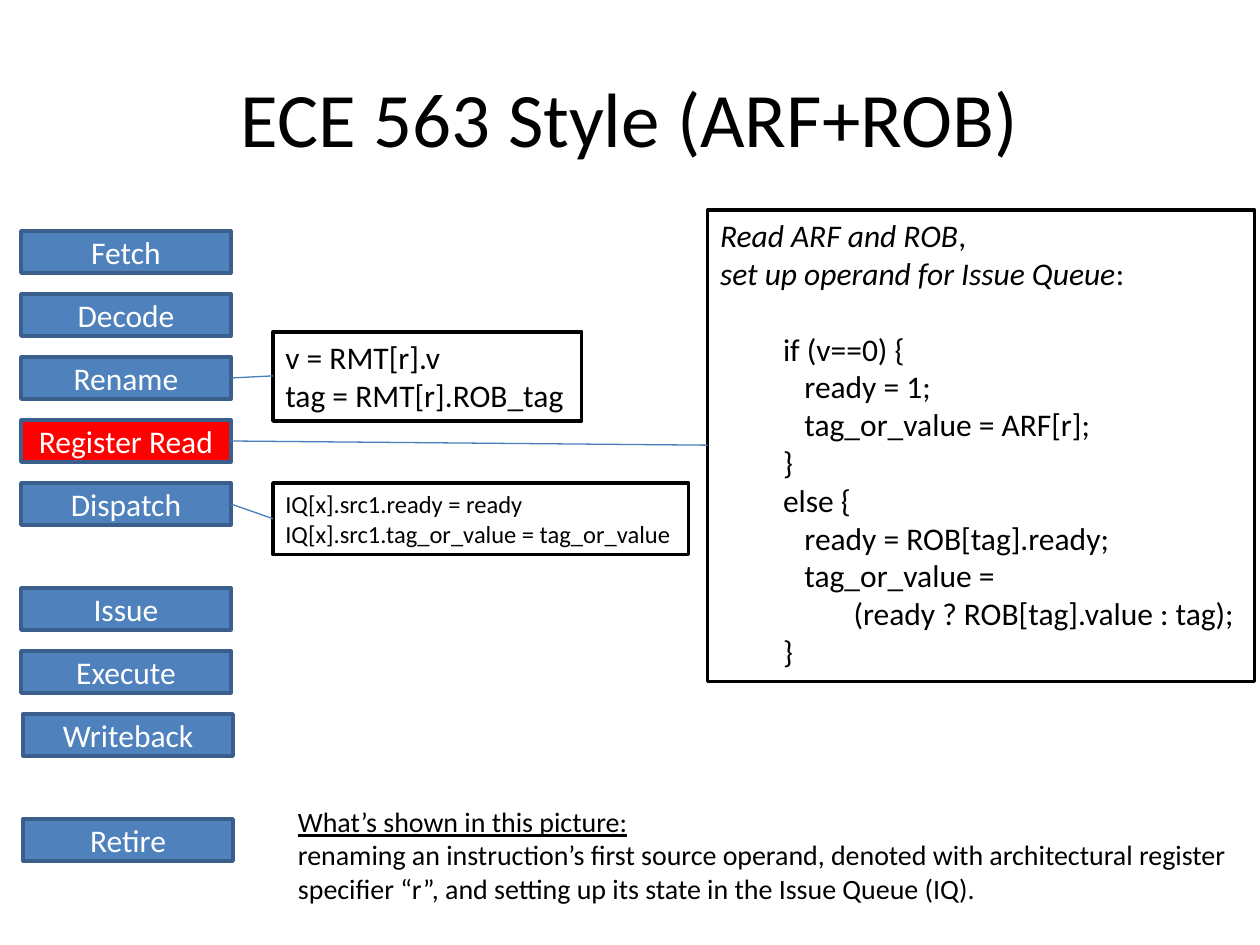
from pptx import Presentation
from pptx.dml.color import RGBColor
from pptx.enum.shapes import MSO_CONNECTOR as CONN, MSO_SHAPE as SHAPE
from pptx.enum.text import MSO_ANCHOR as ANCHOR, PP_ALIGN as ALIGN
from pptx.oxml.ns import qn
from pptx.util import Inches, Pt
from lxml.etree import SubElement

COLS, ROWS = 60, 45
FONT = "Calibri"
BLACK, WHITE, BLUE, RED = "000000", "FFFFFF", "4F81BD", "FF0000"
EDGE, LINK = "3A5F8C", "4B7EBC"
STAGES = [
    ("Fetch", 1, 11), ("Decode", 1, 14), ("Rename", 1, 17),
    ("Register Read", 1, 20), ("Dispatch", 1, 23), ("Issue", 1, 28),
    ("Execute", 1, 31), ("Writeback", 1.1, 34), ("Retire", 1.1, 39),
]
RENAME = ["v = RMT[r].v", "tag = RMT[r].ROB_tag"]
DISPATCH = ["IQ[x].src1.ready = ready", "IQ[x].src1.tag_or_value = tag_or_value"]
READ_HEAD = [("Read ARF and ROB", ","), ("set up operand for Issue Queue", ":")]
READ_CODE = [
    ("if (v==0) {", 0.5), ("ready = 1;", 0.67),
    ("tag_or_value = ARF[r];", 0.67), ("}", 0.5), ("else {", 0.5),
    ("ready = ROB[tag].ready;", 0.67), ("tag_or_value =", 0.67),
    ("(ready ? ROB[tag].value : tag);", 1.06), ("}", 0.5),
]
NOTE = [
    "What’s shown in this picture:",
    "renaming an instruction’s first source operand, denoted with architectural "
    "register specifier “r”, and setting up its state in the Issue Queue (IQ).",
]


def rgb(value):
    """Return the colour for a hex string."""
    return RGBColor.from_string(value)


def grid(*cells):
    """Turn alternating column and row counts into lengths."""
    return [Inches(n * (10 / COLS, 7.5 / ROWS)[i % 2]) for i, n in enumerate(cells)]


def style(p, size, color=BLACK, align=ALIGN.LEFT):
    """Format every run of a paragraph."""
    p.alignment = align
    for r in p.runs:
        r.font.name, r.font.size = FONT, Pt(size)
        r.font.color.rgb = rgb(color)


def add_lines(tf, lines, size, color=BLACK, align=ALIGN.LEFT):
    """Fill a text frame with one paragraph per line."""
    tf.text = "\n".join(lines)
    for p in tf.paragraphs:
        style(p, size, color, align)


def add_rect(slide, cells, edge, fill=None):
    """Add a bordered rectangle, filled if a colour is given."""
    sp = slide.shapes.add_shape(SHAPE.RECTANGLE, *grid(*cells))
    sp.shadow.inherit = False
    sp.line.color.rgb, sp.line.width = rgb(edge), Pt(2)
    if fill:
        sp.fill.solid()
        sp.fill.fore_color.rgb = rgb(fill)
    else:
        sp.fill.background()
    return sp


def add_stage(slide, name, col, row):
    """Add one pipeline stage."""
    fill = RED if name == "Register Read" else BLUE
    sp = add_rect(slide, (col, row, 10, 2), EDGE, fill)
    add_lines(sp.text_frame, [name], 18, WHITE, ALIGN.CENTER)


def add_code_box(slide, cells, lines, size):
    """Add a black-bordered box of code and return its text frame."""
    tf = add_rect(slide, cells, BLACK).text_frame
    tf.word_wrap, tf.vertical_anchor = False, ANCHOR.TOP
    add_lines(tf, lines, size)
    return tf


def add_read_box(slide, cells):
    """Add the register read box with its italic heading and indented code."""
    heads = [head + mark for head, mark in READ_HEAD]
    tf = add_code_box(slide, cells, heads + [text for text, _ in READ_CODE], 18)
    for p, (head, mark) in zip(tf.paragraphs, READ_HEAD):
        p.runs[0].text = head
        p.runs[0].font.italic = True
        p.add_run().text = mark
        style(p, 18)
    code = tf.paragraphs[len(READ_HEAD):]
    for p, (_, indent) in zip(code, READ_CODE):
        p._p.get_or_add_pPr().set("marL", str(Inches(indent)))
    code[0].space_before = Pt(21.6)


def add_text(slide, cells, lines, size, align=ALIGN.LEFT, anchor=ANCHOR.TOP):
    """Add a wrapping text box and return its text frame."""
    tf = slide.shapes.add_textbox(*grid(*cells)).text_frame
    tf.word_wrap, tf.vertical_anchor = True, anchor
    add_lines(tf, lines, size, align=align)
    return tf


def add_link(slide, cells):
    """Add a thin line between a stage and its box."""
    sp = slide.shapes.add_connector(CONN.STRAIGHT, *grid(*cells))
    sp.line.color.rgb, sp.line.width = rgb(LINK), Pt(0.75)
    SubElement(sp._element.spPr, qn("a:effectLst"))


def main():
    """Build and save the slide."""
    prs = Presentation()
    prs.slide_width, prs.slide_height = Inches(10), Inches(7.5)
    slide = prs.slides.add_slide(prs.slide_layouts[6])
    add_text(slide, (3, 1.8, 54, 7.5), ["ECE 563 Style (ARF+ROB)"], 44,
             ALIGN.CENTER, ANCHOR.MIDDLE)
    for stage in STAGES:
        add_stage(slide, *stage)
    add_code_box(slide, (13, 15.8, 14.7, 4.25), RENAME, 18)
    add_read_box(slide, (33.7, 10, 26.05, 22.45))
    add_code_box(slide, (13, 23, 19.8, 3.4), DISPATCH, 14)
    for cells in [(11, 18, 13, 17.9), (11, 21, 33.7, 21.2), (11, 24, 13, 24.7)]:
        add_link(slide, cells)
    tf = add_text(slide, (13.6, 38, 46.4, 5.45), NOTE, 16)
    tf.paragraphs[0].runs[0].font.underline = True
    prs.save("out.pptx")


if __name__ == "__main__":
    main()
